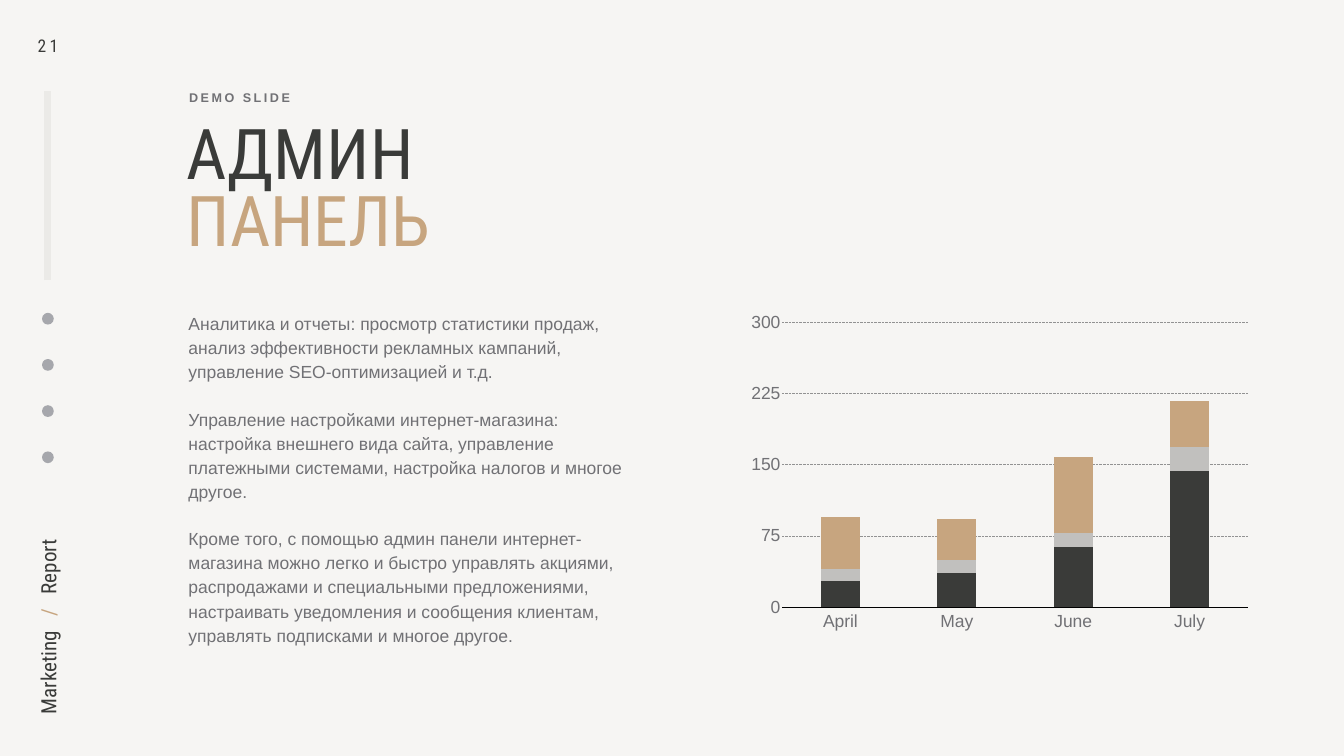
from lxml import etree
from pptx import Presentation
from pptx.chart.data import CategoryChartData
from pptx.dml.color import RGBColor
from pptx.enum.chart import XL_CHART_TYPE, XL_TICK_LABEL_POSITION, XL_TICK_MARK
from pptx.enum.dml import MSO_LINE
from pptx.enum.shapes import MSO_CONNECTOR, MSO_SHAPE
from pptx.enum.text import MSO_ANCHOR, MSO_AUTO_SIZE, PP_ALIGN
from pptx.oxml import parse_xml
from pptx.oxml.ns import nsdecls, qn
from pptx.util import Inches, Pt

STACKED = XL_CHART_TYPE.COLUMN_STACKED
NO_TICK = XL_TICK_MARK.NONE
LOW = XL_TICK_LABEL_POSITION.LOW
DOTTED = MSO_LINE.ROUND_DOT
STRAIGHT = MSO_CONNECTOR.STRAIGHT
OVAL = MSO_SHAPE.OVAL
TOP, MIDDLE = MSO_ANCHOR.TOP, MSO_ANCHOR.MIDDLE
LEFT, CENTER = PP_ALIGN.LEFT, PP_ALIGN.CENTER
FIXED = MSO_AUTO_SIZE.NONE

WIDTH, HEIGHT = Inches(26.67), Inches(15)
COLUMNS, ROWS = 80, 45
TITLE_ONLY = 5
HEAD, BODY = "Roboto Condensed", "Arial"
PAPER, DARK, TAN, GREY = "F6F5F3", "3A3B39", "C7A57F", "717175"
SILVER, ICON, RULE, GRID = "C1C0BE", "A6A7AC", "EBEAE7", "929292"

PARAGRAPHS = [
    "Аналитика и отчеты: просмотр статистики продаж, анализ эффективности "
    "рекламных кампаний, управление SEO-оптимизацией и т.д.",
    "Управление настройками интернет-магазина: настройка внешнего вида сайта, "
    "управление платежными системами, настройка налогов и многое другое.",
    "Кроме того, с помощью админ панели интернет-магазина можно легко и быстро "
    "управлять акциями, распродажами и специальными предложениями, настраивать "
    "уведомления и сообщения клиентам, управлять подписками и многое другое.",
]
MONTHS = ["April", "May", "June", "July"]
SERIES = [
    ("Series 1", [27, 36, 63, 143], DARK),
    ("Series 2", [13, 14, 15, 26], SILVER),
    ("Series 3", [55, 43, 80, 48], TAN),
]


def rgb(value):
    return RGBColor.from_string(value)


def grid(left, top, width, height):
    """Turn grid columns and rows into slide lengths."""
    x, y = WIDTH / COLUMNS, HEIGHT / ROWS
    return int(left * x), int(top * y), int(width * x), int(height * y)


class Deck:
    def __init__(self):
        self.prs = Presentation()
        self.prs.slide_width, self.prs.slide_height = WIDTH, HEIGHT
        self.slide = None

    def new_slide(self, color):
        self.slide = self.prs.slides.add_slide(self.prs.slide_layouts[TITLE_ONLY])
        fill = self.slide.background.fill
        fill.solid()
        fill.fore_color.rgb = rgb(color)

    def set_text(self, sp, lines, size, font, bold=False, align=LEFT, anchor=TOP,
                 wrap=True, leading=None, gap=0):
        """Fill a shape; each line is a list of (text, colour, letter spacing)."""
        tf = sp.text_frame
        tf.auto_size, tf.word_wrap, tf.vertical_anchor = FIXED, wrap, anchor
        tf.margin_left = tf.margin_right = Inches(0.04)
        tf.margin_top = tf.margin_bottom = Inches(0.04)
        for i, runs in enumerate(lines):
            p = tf.add_paragraph() if i else tf.paragraphs[0]
            p.alignment = align
            if leading:
                p.line_spacing = leading
            p.space_before = Pt(gap if i else 0)
            p.font.size, p.font.name, p.font.bold = Pt(size), font, bold
            for text, color, spacing in runs:
                r = p.add_run()
                r.text = text
                r.font.color.rgb = rgb(color)
                if spacing:
                    r.font._element.set("spc", str(int(spacing * 100)))

    def title(self, box, lines, **style):
        sp = self.slide.shapes.title
        sp.left, sp.top, sp.width, sp.height = grid(*box)
        self.set_text(sp, lines, **style)

    def text(self, box, lines, rotation=0, **style):
        sp = self.slide.shapes.add_textbox(*grid(*box))
        sp.rotation = rotation
        self.set_text(sp, lines, **style)

    def dot(self, box, color):
        sp = self.slide.shapes.add_shape(OVAL, *grid(*box))
        sp.shadow.inherit = False
        sp.fill.solid()
        sp.fill.fore_color.rgb = rgb(color)
        sp.line.fill.background()

    def vertical_line(self, column, start, end, color, weight):
        x, y1, _, y2 = grid(column, start, 0, end)
        line = self.slide.shapes.add_connector(STRAIGHT, x, y1, x, y2)
        line.line.color.rgb, line.line.width = rgb(color), Pt(weight)
        etree.SubElement(line._element.spPr, qn("a:effectLst"))

    def stacked_chart(self, box, categories, series, step, top, plot):
        data = CategoryChartData()
        data.categories = categories
        for name, values, _ in series:
            data.add_series(name, values)
        chart = self.slide.shapes.add_chart(STACKED, *grid(*box), data).chart
        chart.has_legend = chart.has_title = False
        chart.font.name, chart.font.size = BODY, Pt(25)
        chart.font.color.rgb = rgb(GREY)

        bars = chart.plots[0]
        bars.gap_width, bars.overlap, bars.vary_by_categories = 200, 100, False
        for bar, (_, _, color) in zip(bars.series, series):
            bar.format.fill.solid()
            bar.format.fill.fore_color.rgb = rgb(color)

        months, amounts = chart.category_axis, chart.value_axis
        for axis in (months, amounts):
            axis.major_tick_mark = axis.minor_tick_mark = NO_TICK
        months.tick_label_position = LOW
        months.format.line.color.rgb, months.format.line.width = rgb("000000"), Pt(1)
        amounts.minimum_scale, amounts.maximum_scale = 0, top
        amounts.major_unit = step
        amounts.format.line.fill.background()
        line = amounts.major_gridlines.format.line
        line.color.rgb, line.width, line.dash_style = rgb(GRID), Pt(1), DOTTED
        self.place_plot(chart, plot)

    def place_plot(self, chart, shares):
        """Fix the inner plot area as shares of the chart."""
        area = chart._chartSpace.chart.plotArea
        for old in area.findall(qn("c:layout")):
            area.remove(old)
        sizes = "".join(f'<c:{k} val="{v}"/>' for k, v in zip("xywh", shares))
        area.insert(0, parse_xml(
            f'<c:layout {nsdecls("c")}><c:manualLayout><c:layoutTarget val="inner"/>'
            f'<c:xMode val="edge"/><c:yMode val="edge"/>{sizes}'
            '</c:manualLayout></c:layout>'))


def main():
    deck = Deck()
    deck.new_slide(PAPER)

    for i in range(4):
        deck.dot((2.5, 18.62 + 2.75 * i, 0.7, 0.7), ICON)
    deck.text((-2.55, 36.36, 10.8, 1.74),
              [[("Marketing", DARK, 0), (" ", DARK, 14), ("/", TAN, 0),
                (" ", DARK, 14), ("Report", DARK, 0)]],
              rotation=270, size=30, font=HEAD, anchor=MIDDLE, wrap=False)
    deck.vertical_line(2.85, 16.68, 5.43, RULE, 10)
    deck.text((1.41, 1.98, 2.88, 1.5), [[("21", DARK, 5)]],
              size=25, font=HEAD, align=CENTER)

    deck.text((11.13, 5.19, 12.72, 1.17), [[("DEMO SLIDE", GREY, 3.6)]],
              size=18, font=BODY, bold=True, anchor=MIDDLE)
    deck.title((11, 7.38, 26.37, 10.92),
               [[("АДМИН", DARK, 0)], [("ПАНЕЛЬ", TAN, 0)]],
               size=100, font=HEAD, leading=0.8)
    deck.text((11.1, 18.33, 27, 20.19), [[(text, GREY, 0)] for text in PARAGRAPHS],
              size=25, font=BODY, leading=1.15, gap=33)
    deck.stacked_chart((44.13, 17.97, 30.45, 20.19), MONTHS, SERIES,
                       step=75, top=300, plot=(0.08, 0.06, 0.91, 0.84))

    deck.prs.save("out.pptx")


if __name__ == "__main__":
    main()
